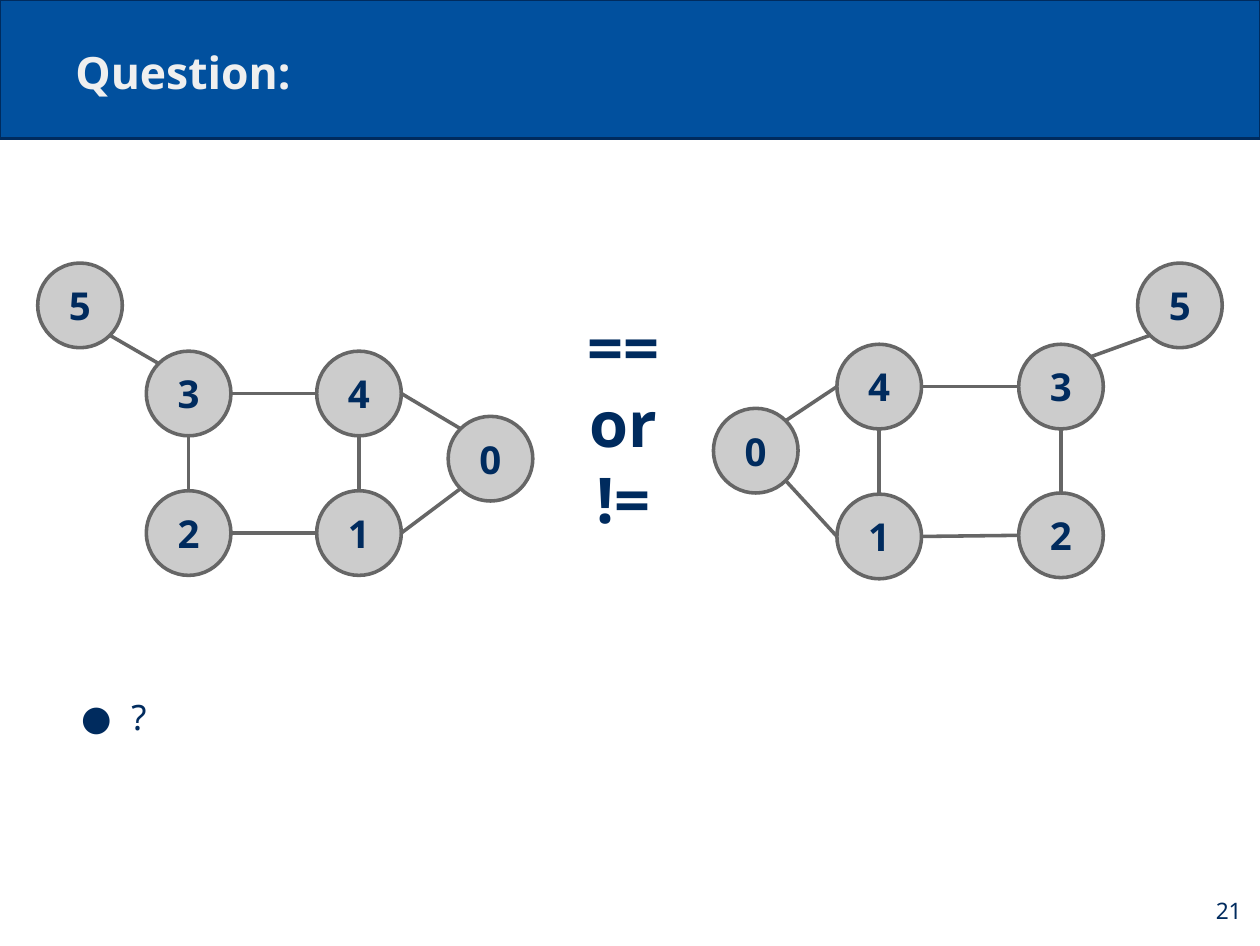
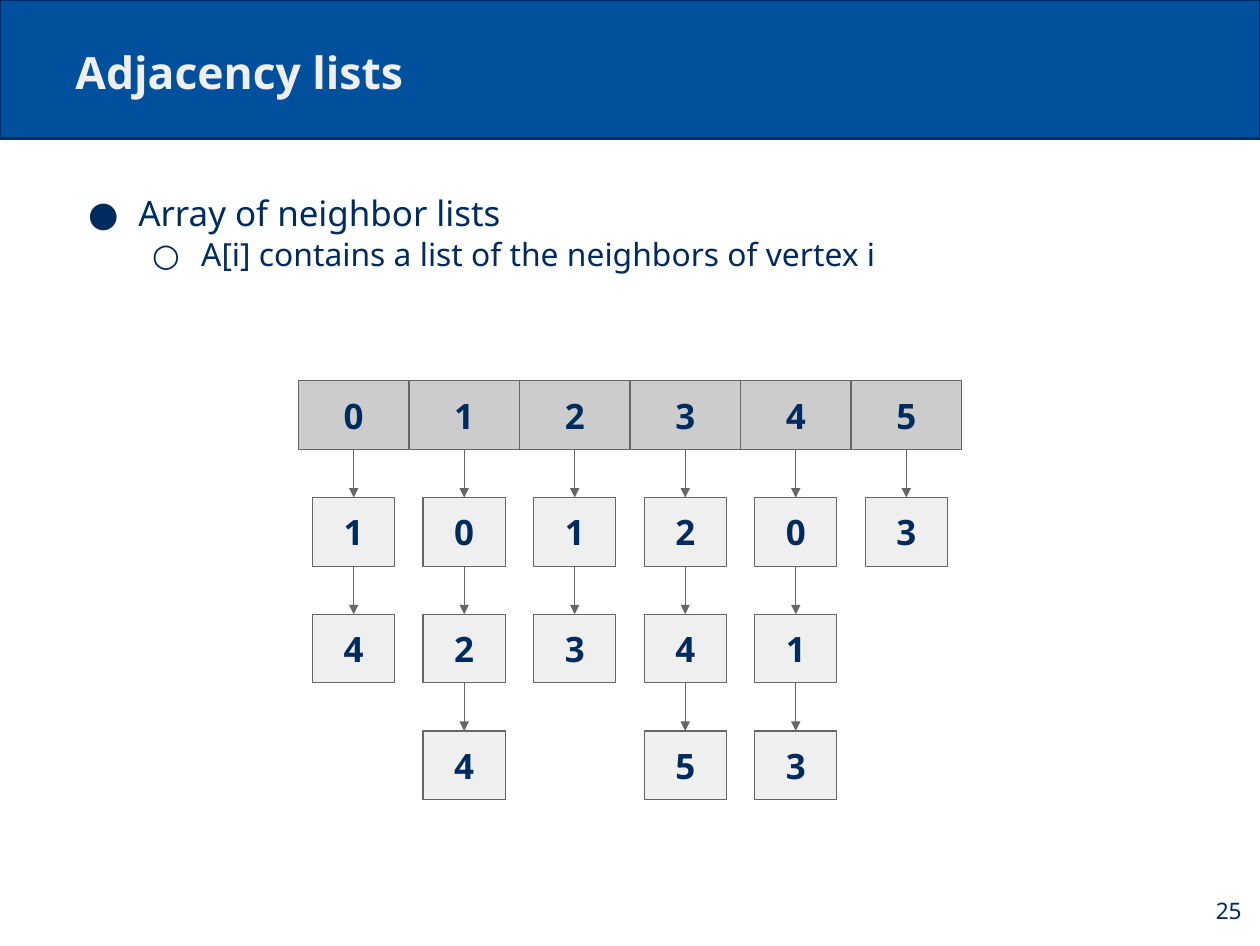
from dataclasses import dataclass
from enum import Enum
from itertools import pairwise
from math import cos, radians, sin

from lxml.etree import SubElement
from pptx import Presentation
from pptx.dml.color import RGBColor
from pptx.enum.shapes import MSO_CONNECTOR, MSO_SHAPE
from pptx.enum.text import MSO_ANCHOR, PP_ALIGN
from pptx.oxml.ns import qn
from pptx.shapes.autoshape import Shape
from pptx.shapes.connector import Connector
from pptx.slide import Slide
from pptx.text.text import TextFrame
from pptx.util import Inches, Pt

FONT = "Noto Sans"
NAVY, BLUE, PALE = "002B5E", "01509E", "EFEFEF"
SILVER, GREY = "CCCCCC", "666666"
SLIDE_W, SLIDE_H = 11.02, 8.27
INSET = 0.11
VERTEX_D = 0.74
HEAD_W, NODE_W, CELL_H = 5.8 / 6, 0.72, 0.6
LISTS_LEFT, LISTS_TOP, LEVEL_STEP = 2.61, 3.33, 1.02


class Side(Enum):
    E = 0
    SE = 45
    S = 90
    SW = 135
    W = 180
    NW = 225
    N = 270
    NE = 315


@dataclass(frozen=True)
class Box:
    left: float
    top: float
    width: float
    height: float

    def lengths(self) -> tuple[int, int, int, int]:
        return (Inches(self.left), Inches(self.top),
                Inches(self.width), Inches(self.height))


@dataclass(frozen=True)
class Style:
    size: float
    color: str = NAVY
    bold: bool = False
    align: PP_ALIGN = PP_ALIGN.LEFT
    anchor: MSO_ANCHOR = MSO_ANCHOR.TOP


@dataclass(frozen=True)
class Bullet:
    text: str
    size: float
    symbol: str
    indent: float
    hanging: float
    spacing: float
    level: int = 0


@dataclass(frozen=True)
class Vertex:
    label: str
    left: float
    top: float

    def point(self, side: Side) -> tuple[float, float]:
        angle, radius = radians(side.value), VERTEX_D / 2
        return (self.left + radius * (1 + cos(angle)),
                self.top + radius * (1 + sin(angle)))


@dataclass(frozen=True)
class Edge:
    start: str
    start_side: Side
    end: str
    end_side: Side


TITLE = Style(28, PALE, True, anchor=MSO_ANCHOR.BOTTOM)
PAGE = Style(14.3, align=PP_ALIGN.RIGHT, anchor=MSO_ANCHOR.MIDDLE)
COMPARISON = Style(39.7, bold=True, align=PP_ALIGN.CENTER)
VERTEX = Style(24.2, NAVY, True, PP_ALIGN.CENTER, MSO_ANCHOR.MIDDLE)
CELL = Style(22, NAVY, True, PP_ALIGN.CENTER, MSO_ANCHOR.MIDDLE)

LEFT_VERTICES = [
    Vertex("0", 3.92, 3.64), Vertex("1", 2.77, 4.29), Vertex("4", 2.77, 3.07),
    Vertex("3", 1.28, 3.07), Vertex("2", 1.28, 4.29), Vertex("5", 0.33, 2.3),
]
RIGHT_VERTICES = [
    Vertex("0", 6.24, 3.57), Vertex("1", 7.32, 4.32), Vertex("4", 7.32, 3.01),
    Vertex("3", 8.91, 3.01), Vertex("2", 8.91, 4.31), Vertex("5", 9.95, 2.3),
]
SHARED_EDGES = [
    Edge("4", Side.S, "1", Side.N),
    Edge("3", Side.S, "2", Side.N),
]
LEFT_EDGES = SHARED_EDGES + [
    Edge("0", Side.NW, "4", Side.E), Edge("0", Side.SW, "1", Side.E),
    Edge("4", Side.W, "3", Side.E), Edge("1", Side.W, "2", Side.E),
    Edge("5", Side.SE, "3", Side.NW),
]
RIGHT_EDGES = SHARED_EDGES + [
    Edge("0", Side.NE, "4", Side.W), Edge("0", Side.SE, "1", Side.W),
    Edge("4", Side.E, "3", Side.W), Edge("1", Side.E, "2", Side.W),
    Edge("5", Side.SW, "3", Side.NE),
]
NEIGHBORS = ["14", "024", "13", "245", "013", "3"]


def rgb(color: str) -> RGBColor:
    return RGBColor.from_string(color)


def prepare_frame(frame: TextFrame, anchor: MSO_ANCHOR) -> None:
    frame.word_wrap = True
    frame.vertical_anchor = anchor
    frame.margin_left = frame.margin_right = Inches(INSET)
    frame.margin_top = frame.margin_bottom = Inches(INSET)


def write(frame: TextFrame, lines: list[str], style: Style) -> None:
    prepare_frame(frame, style.anchor)
    for index, line in enumerate(lines):
        paragraph = frame.add_paragraph() if index else frame.paragraphs[0]
        paragraph.alignment = style.align
        run = paragraph.add_run()
        run.text = line
        run.font.name = FONT
        run.font.size = Pt(style.size)
        run.font.bold = style.bold
        run.font.color.rgb = rgb(style.color)


def add_text(slide: Slide, box: Box, lines: list[str], style: Style) -> None:
    write(slide.shapes.add_textbox(*box.lengths()).text_frame, lines, style)


def add_bullets(slide: Slide, box: Box, bullets: list[Bullet]) -> None:
    frame = slide.shapes.add_textbox(*box.lengths()).text_frame
    write(frame, [bullet.text for bullet in bullets], Style(22))
    for paragraph, bullet in zip(frame.paragraphs, bullets):
        paragraph.level = bullet.level
        paragraph.line_spacing = bullet.spacing
        paragraph.runs[0].font.size = Pt(bullet.size)
        properties = paragraph._p.get_or_add_pPr()
        properties.set("marL", str(Inches(bullet.indent)))
        properties.set("indent", str(-Inches(bullet.hanging)))
        bullet_color = SubElement(properties, qn("a:buClr"))
        SubElement(bullet_color, qn("a:srgbClr"), val=NAVY)
        SubElement(properties, qn("a:buFont"), typeface=FONT)
        SubElement(properties, qn("a:buChar"), char=bullet.symbol)


def add_outlined(slide: Slide, kind: MSO_SHAPE, box: Box, fill: str,
                 outline: str, weight: float) -> Shape:
    shape = slide.shapes.add_shape(kind, *box.lengths())
    shape.shadow.inherit = False
    shape.fill.solid()
    shape.fill.fore_color.rgb = rgb(fill)
    shape.line.color.rgb = rgb(outline)
    shape.line.width = Pt(weight)
    return shape


def add_line(slide: Slide, start: tuple[float, float],
             end: tuple[float, float], weight: float) -> Connector:
    line = slide.shapes.add_connector(
        MSO_CONNECTOR.STRAIGHT, *(Inches(value) for value in start + end))
    line.line.color.rgb = rgb(GREY)
    line.line.width = Pt(weight)
    SubElement(line._element.spPr, qn("a:effectLst"))
    return line


def add_arrow(slide: Slide, source: Shape, target: Shape) -> None:
    arrow = add_line(slide, (0, 0), (0, 0), 0.75)
    arrow.begin_connect(source, 2)
    arrow.end_connect(target, 0)
    outline = arrow._element.spPr.find(qn("a:ln"))
    SubElement(outline, qn("a:tailEnd"), type="triangle")


def add_graph(slide: Slide, vertices: list[Vertex], edges: list[Edge]) -> None:
    for vertex in vertices:
        box = Box(vertex.left, vertex.top, VERTEX_D, VERTEX_D)
        circle = add_outlined(slide, MSO_SHAPE.OVAL, box, SILVER, GREY, 2.25)
        write(circle.text_frame, [vertex.label], VERTEX)
    by_label = {vertex.label: vertex for vertex in vertices}
    for edge in edges:
        add_line(slide, by_label[edge.start].point(edge.start_side),
                 by_label[edge.end].point(edge.end_side), 2.25)


def add_cell(slide: Slide, label: str, column: int, level: int) -> Shape:
    width, fill = (NODE_W, PALE) if level else (HEAD_W, SILVER)
    center = LISTS_LEFT + (column + 0.5) * HEAD_W
    box = Box(center - width / 2, LISTS_TOP + level * LEVEL_STEP, width, CELL_H)
    cell = add_outlined(slide, MSO_SHAPE.RECTANGLE, box, fill, GREY, 0.75)
    write(cell.text_frame, [label], CELL)
    return cell


def add_adjacency_lists(slide: Slide, neighbors: list[str]) -> None:
    for column, linked in enumerate(neighbors):
        cells = [add_cell(slide, label, column, level)
                 for level, label in enumerate([str(column), *linked])]
        for source, target in pairwise(cells):
            add_arrow(slide, source, target)


def add_slide(deck: Presentation, title: str, page: str) -> Slide:
    slide = deck.slides.add_slide(deck.slide_layouts[6])
    add_outlined(slide, MSO_SHAPE.RECTANGLE, Box(0, 0, SLIDE_W, 1.21),
                 BLUE, NAVY, 1.5)
    add_text(slide, Box(0.55, 0.24, 9.92, 0.73), [title], TITLE)
    add_text(slide, Box(10.31, 7.64, 0.66, 0.63), [page], PAGE)
    return slide


def main() -> None:
    deck = Presentation()
    deck.slide_width, deck.slide_height = Inches(SLIDE_W), Inches(SLIDE_H)

    question = add_slide(deck, "Question:", "21")
    add_text(question, Box(4.81, 2.59, 1.29, 2.47), ["==", "or", "!="], COMPARISON)
    add_bullets(question, Box(0.49, 5.82, 9.92, 1.08),
                [Bullet("?", 22, "●", 0.55, 0.44, 1.42)])
    add_graph(question, LEFT_VERTICES, LEFT_EDGES)
    add_graph(question, RIGHT_VERTICES, RIGHT_EDGES)

    adjacency = add_slide(deck, "Adjacency lists", "25")
    add_bullets(adjacency, Box(0.55, 1.55, 9.92, 1.55), [
        Bullet("Array of neighbor lists", 22, "●", 0.55, 0.44, 1.05),
        Bullet("A[i] contains a list of the neighbors of vertex i",
               20, "○", 1.1, 0.43, 1.03, 1),
    ])
    add_adjacency_lists(adjacency, NEIGHBORS)

    deck.save("out.pptx")


if __name__ == "__main__":
    main()
